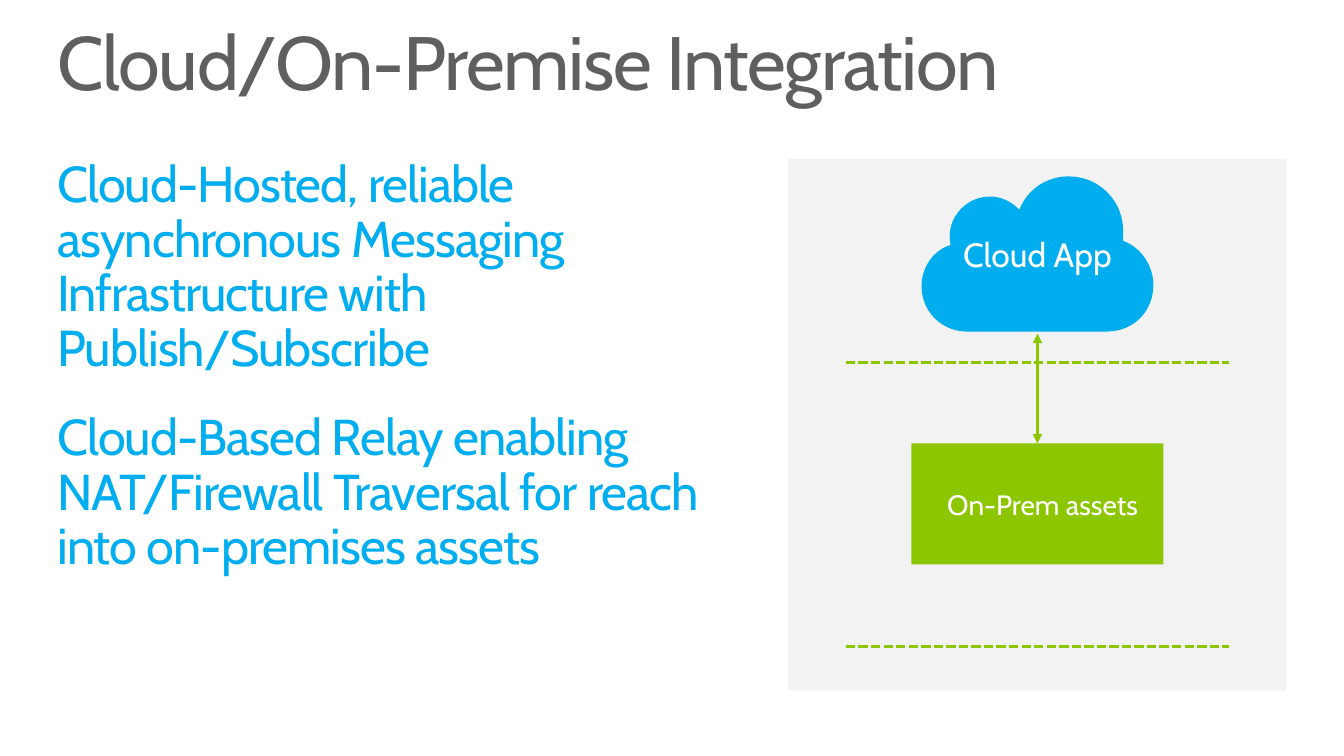
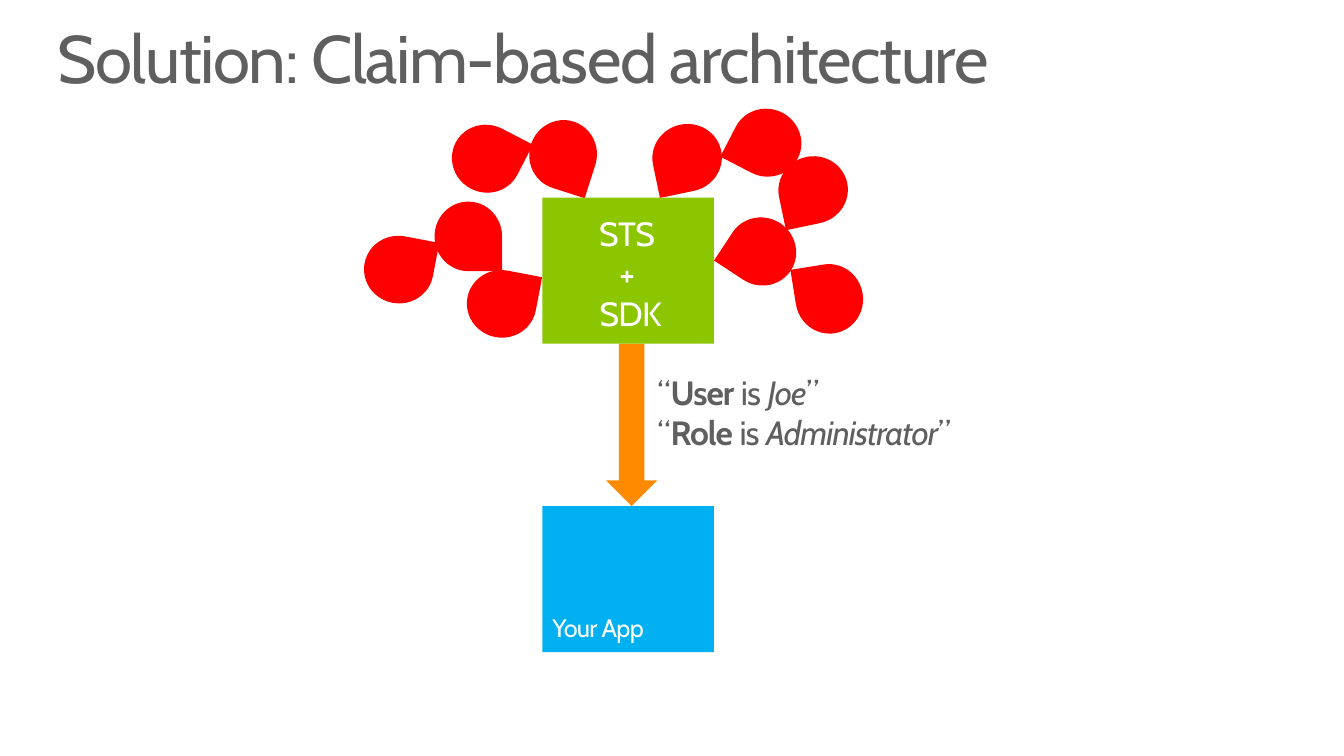
from lxml import etree
from pptx import Presentation, util as u
from pptx.dml.color import RGBColor
from pptx.enum import dml, shapes, text
from pptx.oxml.ns import qn

FONT = "Cabin"
GRAY, WHITE, PANEL = "5F5F5F", "FFFFFF", "F2F2F2"
BLUE, SKY, GREEN, ORANGE, RED = "00AEEF", "00B0F0", "8CC600", "FF8A00", "FF0000"
LEFT, TITLE_TOP, BODY_TOP = 0.57, 0.25, 1.58
SHAPE, ALIGN, ANCHOR = shapes.MSO_SHAPE, text.PP_ALIGN, text.MSO_ANCHOR

BENEFITS = [
    "Cloud-Hosted, reliable asynchronous Messaging Infrastructure with Publish/Subscribe",
    "Cloud-Based Relay enabling NAT/Firewall Traversal for reach\ninto on-premises assets",
]
BOUNDARIES = [3.6, 6.41]
CLOUD_START = (11.14, 2.39)
CLOUD_CURVES = [  # two control points and the end of each curve
    ((11.14, 2.36), (11.14, 2.33), (11.14, 2.29)),
    ((11.14, 1.99), (10.9, 1.75), (10.6, 1.75)),
    ((10.38, 1.75), (10.19, 1.88), (10.11, 2.08)),
    ((10.03, 2), (9.93, 1.95), (9.82, 1.95)),
    ((9.6, 1.95), (9.42, 2.13), (9.42, 2.34)),
    ((9.42, 2.37), (9.42, 2.4), (9.43, 2.43)),
    ((9.26, 2.48), (9.14, 2.65), (9.14, 2.84)),
    ((9.14, 3.09), (9.34, 3.29), (9.59, 3.29)),
    ((10.98, 3.29), (10.98, 3.29), (10.98, 3.29)),
    ((11.24, 3.29), (11.44, 3.09), (11.44, 2.83)),
    ((11.44, 2.63), (11.31, 2.45), (11.14, 2.39)),
]
SERVICE_LINES = ["STS ", "+ ", "SDK"]
CLAIMS = [("User", "Joe"), ("Role", "Administrator")]
DROP_SIZE = (0.69, 0.67)
DROPS = [  # left, top, rotation
    (4.63, 2.68, 10.8), (4.3, 2.01, 90), (6.47, 1.23, 168.2), (7.21, 2.16, 213.4),
    (3.61, 2.34, 10.8), (7.26, 1.08, 207.4), (5.24, 1.2, 107.8), (7.88, 2.63, 260.9),
    (7.72, 1.55, 168.2), (4.48, 1.24, 27.3),
]


def rgb(color):
    return RGBColor.from_string(color)


def inches(*values):
    return [u.Inches(v) for v in values]


def write(sp, paragraphs, size, color, spc=0, align=ALIGN.LEFT, anchor=ANCHOR.TOP,
          insets=(0, 0, 0, 0), spacing=None, before=0, after=0):
    """Fill a shape with paragraphs, each a list of (text, bold, italic) runs."""
    tf = sp.text_frame
    tf.word_wrap = True
    tf.vertical_anchor = anchor
    tf.margin_left, tf.margin_top, tf.margin_right, tf.margin_bottom = inches(*insets)
    for i, runs in enumerate(paragraphs):
        p = tf.add_paragraph() if i else tf.paragraphs[0]
        p.alignment, p.line_spacing = align, spacing
        p.space_before, p.space_after = u.Pt(before), u.Pt(after)
        for content, bold, italic in runs:
            for j, line in enumerate(content.split("\n")):
                if j:
                    p.add_line_break()
                r = p.add_run()
                r.text = line
                f = r.font
                f.name, f.size, f.bold, f.italic = FONT, u.Pt(size), bold, italic
                f.color.rgb = rgb(color)
                r._r.get_or_add_rPr().set("spc", str(round(spc * 100)))


def plain(*lines):
    return [[(line, False, False)] for line in lines]


def paint(sp, color):
    sp.shadow.inherit = False
    sp.fill.solid()
    sp.fill.fore_color.rgb = rgb(color)
    sp.line.fill.background()
    return sp


def add_block(s, kind, box, color):
    return paint(s.shapes.add_shape(kind, *inches(*box)), color)


def add_text(s, box, paragraphs, size, color, **style):
    write(s.shapes.add_textbox(*inches(*box)), paragraphs, size, color, **style)


def add_line(s, x1, y1, x2, y2, color):
    line = s.shapes.add_connector(shapes.MSO_CONNECTOR.STRAIGHT, *inches(x1, y1, x2, y2))
    line.line.color.rgb = rgb(color)
    line.line.width = u.Pt(2.25)
    etree.SubElement(line._element.spPr, qn("a:effectLst"))
    return line


def add_cloud(s, color, steps=12):
    points, start = [], CLOUD_START
    for c1, c2, end in CLOUD_CURVES:
        for n in range(1, steps + 1):
            t = n / steps
            points.append(inches(*(
                (1 - t) ** 3 * a + 3 * t * (1 - t) ** 2 * b + 3 * t * t * (1 - t) * c + t ** 3 * d
                for a, b, c, d in zip(start, c1, c2, end))))
        start = end
    outline = s.shapes.build_freeform(*inches(*CLOUD_START))
    outline.add_line_segments(points, close=True)
    return paint(outline.convert_to_shape(), color)


def new_slide(prs, title, size):
    s = prs.slides.add_slide(prs.slide_layouts[6])
    add_text(s, (LEFT, TITLE_TOP, 12.19, size / 66), plain(title), size, GRAY,
             spc=-1, spacing=0.9)
    return s


def integration_slide(prs):
    s = new_slide(prs, "Cloud/On-Premise Integration", 54)
    add_text(s, (LEFT, BODY_TOP, 6.7, 4.2), plain(*BENEFITS), 36, BLUE,
             spc=-0.7, spacing=0.9, before=7.2, after=18)

    panel_left, panel_width = 7.82, 4.94
    center = panel_left + panel_width / 2
    add_block(s, SHAPE.RECTANGLE, (panel_left, BODY_TOP, panel_width, 5.27), PANEL)
    write(add_cloud(s, BLUE), plain("Cloud App"), 24, WHITE, align=ALIGN.CENTER,
          anchor=ANCHOR.MIDDLE, insets=(0.1, 0.05, 0.1, 0.05))

    width, top = 2.5, 4.4
    assets = add_block(s, SHAPE.RECTANGLE, (center - width / 2, top, width, 1.2), GREEN)
    write(assets, plain("On-Prem assets"), 20, WHITE, align=ALIGN.CENTER,
          anchor=ANCHOR.MIDDLE, insets=(0.2, 0.05, 0.1, 0.05))

    link = add_line(s, center, 3.31, center, top, GREEN)
    link.end_connect(assets, 0)
    for end in ("headEnd", "tailEnd"):
        etree.SubElement(link.line._get_or_add_ln(), qn("a:" + end), type="triangle")

    reach = 1.9
    for y in BOUNDARIES:
        boundary = add_line(s, center - reach, y, center + reach, y, GREEN)
        boundary.line.dash_style = dml.MSO_LINE.SQUARE_DOT


def claims_slide(prs):
    s = new_slide(prs, "Solution: Claim-based architecture", 48)
    left, width, height = 5.38, 1.7, 1.45
    service_top, app_top = 1.96, 5.02
    service_bottom = service_top + height
    label = dict(spc=-0.5, anchor=ANCHOR.BOTTOM, insets=(0.1, 0.05, 0.05, 0.1))

    app = add_block(s, SHAPE.RECTANGLE, (left, app_top, width, height), SKY)
    write(app, plain("Your App"), 18, WHITE, **label)
    add_block(s, SHAPE.DOWN_ARROW, (6.01, service_bottom, 0.51, app_top - service_bottom), ORANGE)

    claims = [[("“", False, False), (name, True, False), (" is ", False, False),
               (value, False, True), ("”", False, False)] for name, value in CLAIMS]
    add_text(s, (6.52, 3.69, 3.42, 0.81), claims, 24, GRAY, spc=-0.7)

    for x, y, angle in DROPS:
        add_block(s, SHAPE.TEAR, (x, y, *DROP_SIZE), RED).rotation = angle

    service = add_block(s, SHAPE.RECTANGLE, (left, service_top, width, height), GREEN)
    write(service, plain(*SERVICE_LINES), 24, WHITE, align=ALIGN.CENTER, **label)


def main():
    prs = Presentation()
    prs.slide_width, prs.slide_height = inches(13.33, 7.5)
    integration_slide(prs)
    claims_slide(prs)
    prs.save("out.pptx")


if __name__ == "__main__":
    main()
